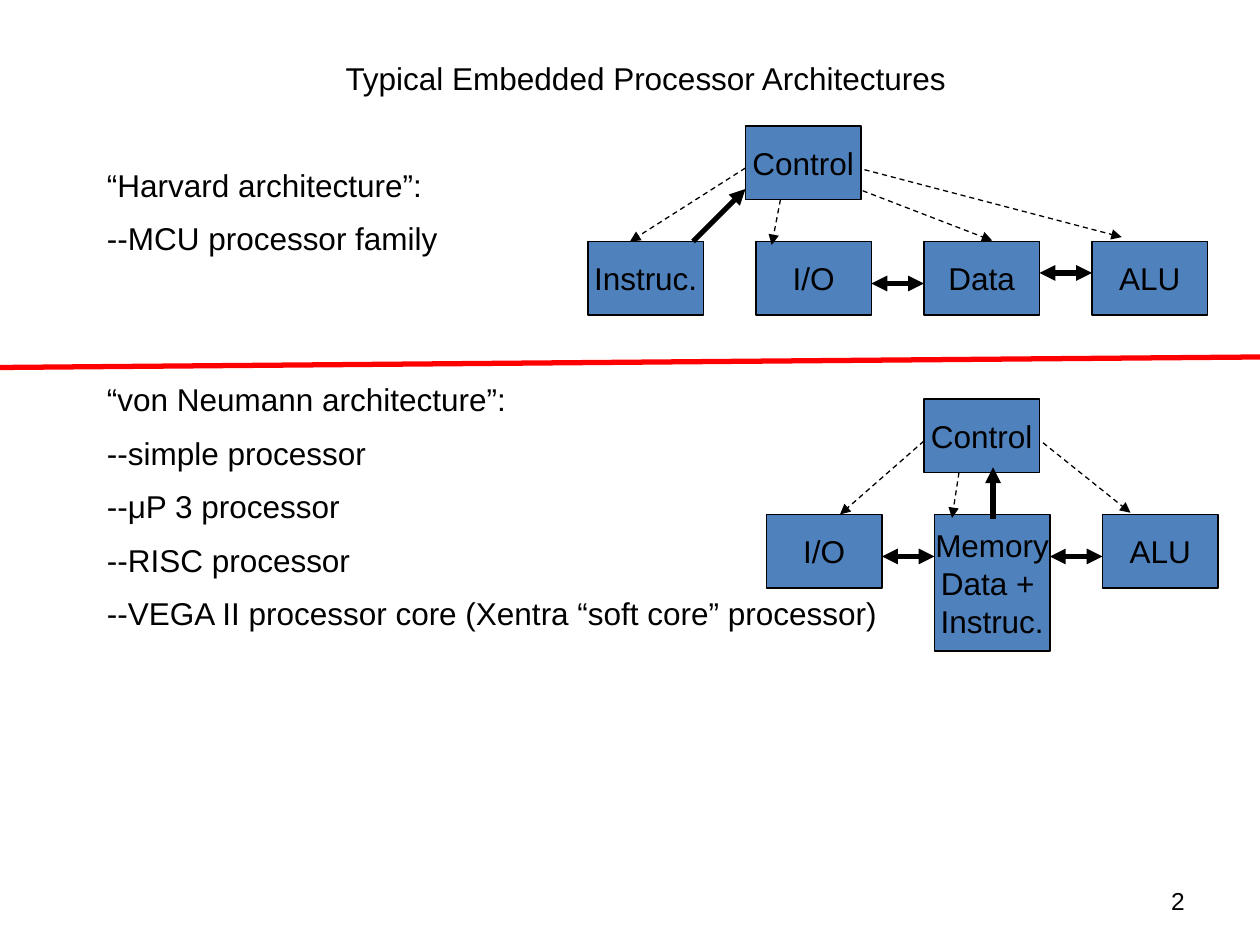
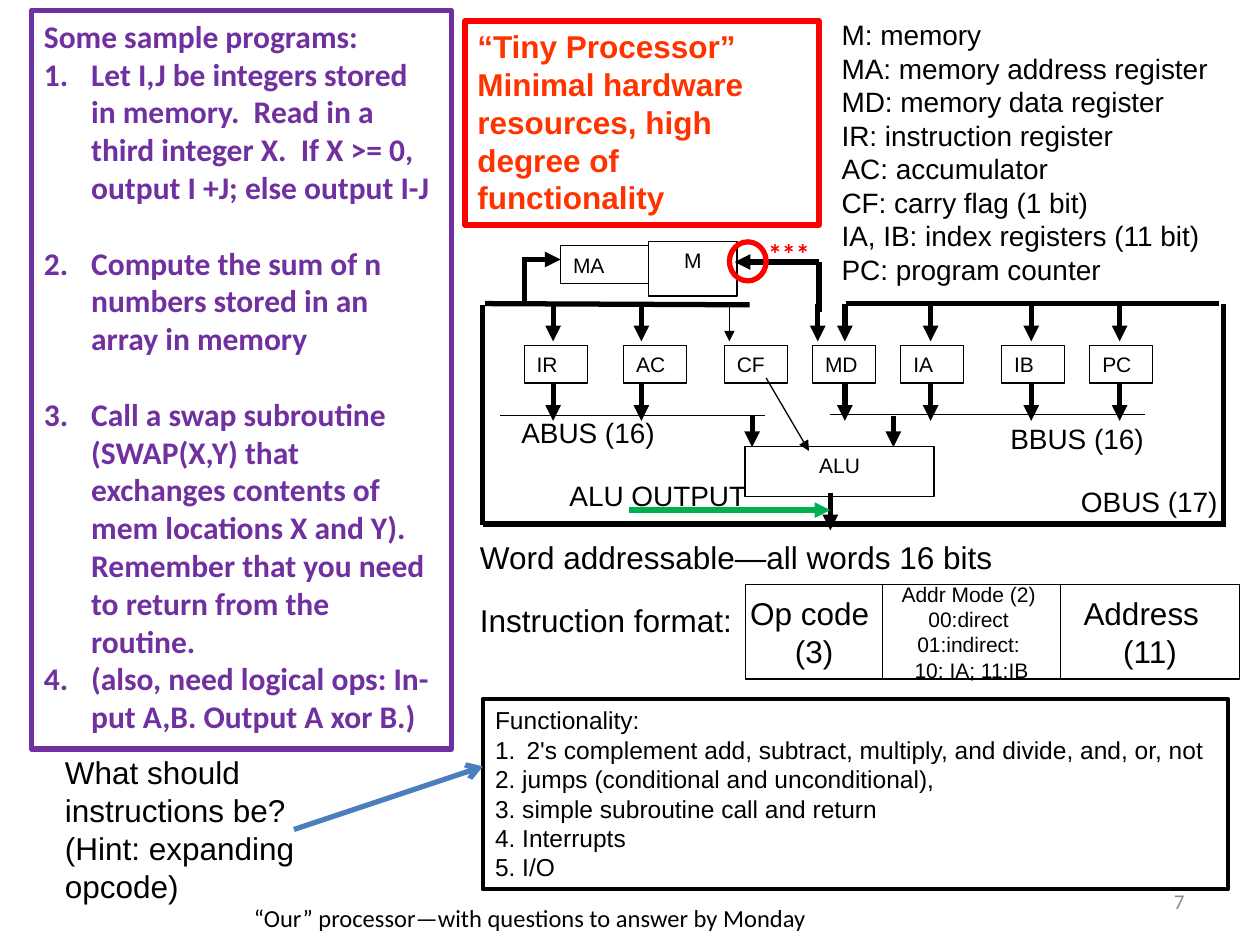
from lxml import etree
from pptx import Presentation
from pptx.dml.color import RGBColor
from pptx.enum import dml, shapes, text
from pptx.oxml.ns import qn
from pptx.util import Pt

COLORS = {
    "ink": "000000", "paper": "FFFFFF", "unit": "4F81BD", "pointer": "4B7EBC",
    "red": "FF0000", "headline": "FF3300", "purple": "7030A0",
    "green": "00B050", "page": "8C8C8C",
}
ALIGN = {"left": text.PP_ALIGN.LEFT, "center": text.PP_ALIGN.CENTER,
         "right": text.PP_ALIGN.RIGHT}
THICK, THIN = 3, 0.75


def rgb(name):
    return RGBColor.from_string(COLORS[name])


def number_paragraph(paragraph, indent):
    """Give a paragraph an automatic number with a hanging indent."""
    properties = paragraph._p.get_or_add_pPr()
    properties.set("marL", str(Pt(indent)))
    properties.set("indent", str(-Pt(indent)))
    bullet = etree.SubElement(properties, qn("a:buAutoNum"))
    bullet.set("type", "arabicPeriod")


def write(shape, lines, size=18, font="Arial", color="ink", bold=False,
          align="left", middle=False, wrap=True, gaps=None, numbered=(), indent=0):
    """Fill a shape; gaps maps line indexes to the space before them."""
    frame = shape.text_frame
    frame.word_wrap = wrap
    frame.vertical_anchor = text.MSO_ANCHOR.MIDDLE if middle else text.MSO_ANCHOR.TOP
    for index, line in enumerate(lines):
        paragraph = frame.add_paragraph() if index else frame.paragraphs[0]
        paragraph.alignment = ALIGN[align]
        paragraph.space_before = Pt((gaps or {}).get(index, 0))
        if index in numbered:
            number_paragraph(paragraph, indent)
        run = paragraph.add_run()
        run.text = line
        run.font.size, run.font.name, run.font.bold = Pt(size), font, bold
        run.font.color.rgb = rgb(color)


def add_text(slide, box, *lines, **style):
    shape = slide.shapes.add_textbox(*map(Pt, box))
    write(shape, lines, **style)
    return shape


def add_block(slide, box, *lines, fill=None, line="ink", width=THIN,
              kind=shapes.MSO_SHAPE.RECTANGLE, **style):
    shape = slide.shapes.add_shape(kind, *map(Pt, box))
    shape.shadow.inherit = False
    if fill:
        shape.fill.solid()
        shape.fill.fore_color.rgb = rgb(fill)
    else:
        shape.fill.background()
    shape.line.color.rgb = rgb(line)
    shape.line.width = Pt(width)
    write(shape, lines, **style)
    return shape


def add_line(slide, origin, points, width=THICK, color="ink", dashed=False,
             head=None, tail=None):
    """Draw a line whose points (x1, y1, x2, y2) are relative to origin."""
    left, top = origin
    x1, y1, x2, y2 = points
    connector = slide.shapes.add_connector(
        shapes.MSO_CONNECTOR.STRAIGHT,
        Pt(left + x1), Pt(top + y1), Pt(left + x2), Pt(top + y2))
    connector.line.width = Pt(width)
    connector.line.color.rgb = rgb(color)
    if dashed:
        connector.line.dash_style = dml.MSO_LINE.DASH
    outline = connector.line._get_or_add_ln()
    for tag, end in (("a:headEnd", head), ("a:tailEnd", tail)):
        if end:
            etree.SubElement(outline, qn(tag)).set("type", end)
    etree.SubElement(connector._element.spPr, qn("a:effectLst"))


def add_page_number(slide, number, **style):
    add_text(slide, (516, 500.5, 168, 28.8), number, align="right", middle=True, **style)


def add_architecture(slide, origin, units, control_lines, buses, fetch):
    """Control block above a row of units, with control, data and fetch arrows."""
    left, top = origin
    width, height, pitch, row = 66, 42, 96, 66
    style = dict(fill="unit", align="center", middle=True, wrap=False)
    add_block(slide, (left + 90, top, width, height), "Control", **style)
    for column, lines in enumerate(units):
        unit_height = height if len(lines) == 1 else 78
        add_block(slide, (left + column * pitch, top + row, width, unit_height),
                  *lines, **style)
    for points in control_lines:
        add_line(slide, origin, points, width=THIN, dashed=True, tail="triangle")
    for column, y in buses:
        start = column * pitch + width
        add_line(slide, origin, (start, y, (column + 1) * pitch, y),
                 head="triangle", tail="triangle")
    add_line(slide, origin, fetch, tail="triangle")


def build_architectures(slide):
    lines = [
        "Typical Embedded Processor Architectures",
        "“Harvard architecture”:",
        "--MCU processor family",
        "“von Neumann architecture”:",
        "--simple processor",
        "--μP 3 processor",
        "--RISC processor",
        "--VEGA II processor core (Xentra “soft core” processor)",
    ]
    gap, empty_line = 9, 30.6
    gaps = dict.fromkeys(range(1, len(lines)), gap)
    gaps[1] += empty_line
    gaps[3] += 2 * empty_line
    body = add_text(slide, (54, 30, 630, 353.5), *lines, gaps=gaps)
    body.text_frame.paragraphs[0].alignment = ALIGN["center"]

    add_architecture(
        slide, (336, 72), [["Instruc."], ["I/O"], ["Data"], ["ALU"]],
        control_lines=[(90, 24, 24, 66), (110, 42, 105, 68),
                       (157, 37, 231, 65.5), (158, 25, 305, 63.5)],
        buses=[(1, 90), (2, 84)], fetch=(60, 66, 90, 36))
    add_architecture(
        slide, (438, 228), [["I/O"], ["Memory", "Data + ", "Instruc."], ["ALU"]],
        control_lines=[(90, 24, 42, 66), (110, 42, 106, 68), (158, 25, 208, 65)],
        buses=[(0, 90), (1, 90)], fetch=(129.5, 68.5, 129.5, 39))
    add_line(slide, (0, 204), (0, 6, 720, 0), color="red")
    add_page_number(slide, "2", size=14)


def add_datapath(slide, origin):
    left, top = origin

    def at(x, y, width, height):
        return left + x, top + y, width, height

    def arrow(*points, **style):
        add_line(slide, origin, points, tail="triangle", **style)

    small = dict(fill="paper", size=12)
    add_block(slide, at(150, 81.5, 108, 28.8), "ALU", align="center", **small)
    add_block(slide, at(95, -35.3, 50.4, 31), "M", align="center", **small)
    add_block(slide, at(44.6, -33, 50.4, 21.6), "MA", **small)

    # name, left edge and arrow lane of each register
    registers = [("IR", 23.8, 40.3), ("AC", 80.6, 90.7), ("CF", 138.2, 141),
                 ("MD", 188.6, 207), ("IA", 239, 256), ("IB", 296.6, 313.5),
                 ("PC", 347, 364)]
    for name, x, lane in registers:
        add_block(slide, at(x, 23.8, 36, 21.6), name, **small)
        is_flag = name == "CF"
        arrow(lane, 0, lane, 21.6, width=THIN if is_flag else THICK)
        if not is_flag:
            arrow(lane, 45.4, lane, 67)

    bus_lines = [(152.6, 0.7, 1.4, 0), (207.4, 0, 421, 0), (423.4, 126, 423.4, 0),
                 (0, 126, 424.8, 126), (0, 126.7, 0, 0.7),
                 (23.8, -26.6, 23.8, 0), (192.2, 5, 192.2, -23.8)]
    for points in bus_lines:
        add_line(slide, origin, points)
    for points in [(10, 64, 161.3, 64), (198.7, 63.4, 378.7, 63.4)]:
        add_line(slide, origin, points, width=THIN)

    arrow(191.5, 0, 191.5, 21.6)
    arrow(23, -25.2, 44.6, -25.2)
    arrow(192.2, -23.8, 144, -23.8)
    for lane in (154, 234.7):
        arrow(lane, 64, lane, 82)
    arrow(198.7, 108, 198.7, 129.6)
    arrow(162, 42.5, 186.5, 84.2, width=THIN)
    arrow(83.5, 118, 198.7, 118, color="green")

    for label, x, y, width in [("ABUS (16)", 15, 60.5, 93), ("OBUS (17)", 334.8, 100, 104),
                               ("BBUS (16)", 294.5, 64, 92), ("ALU OUTPUT", 42.5, 96.5, 120)]:
        add_text(slide, at(x, y, width, 26.6), label, size=16)
    add_block(slide, at(141, -35.3, 21, 22.3), line="red", width=THICK,
              kind=shapes.MSO_SHAPE.OVAL)
    add_text(slide, at(156, -41.8, 48, 26.6), "***", size=16, font="Calibri",
             color="red", bold=True)


def add_instruction_format(slide, left, top):
    add_text(slide, (left, top, 372, 65.5), "Word addressable—all words 16 bits",
             "Instruction format:", gaps={1: 14.4})
    fields = [(78, 18, ["Op code ", "(3)"]),
              (102, 12, ["Addr Mode (2) ", "00:direct ", "01:indirect: ", "10: IA; 11:IB"]),
              (102, 18, ["Address  ", "(11)"])]
    x = left + 159
    for width, size, lines in fields:
        add_block(slide, (x, top + 30.2, width, 54), *lines, fill="paper", size=size,
                  align="center", middle=True, wrap=False)
        x += width


def add_notes_around_datapath(slide):
    add_text(
        slide, (473.8, 6.5, 228, 161.3), "M: memory", "MA: memory address register",
        "MD: memory data register", "IR: instruction register", "AC: accumulator",
        "CF: carry flag (1 bit)", "IA, IB: index registers (11 bit)",
        "PC: program counter", size=16)
    add_block(
        slide, (275.8, 399.5, 426, 108.8), "Functionality:",
        "2's complement add, subtract, multiply, and divide, and, or, not",
        "2. jumps (conditional and unconditional),",
        "3. simple subroutine call and return", "4. Interrupts", "5. I/O",
        width=2.25, size=14, numbered=[1], indent=18)
    add_block(
        slide, (265.7, 12, 202.3, 116.6),
        "“Tiny Processor” Minimal hardware resources, high degree of functionality",
        line="red", width=THICK, color="headline", bold=True)
    add_text(slide, (30, 427, 162, 94.3), "What should instructions be?",
             "(Hint: expanding opcode)")
    add_line(slide, (168, 438), (0, 36, 108, 0), color="pointer", tail="arrow")


def add_sample_programs(slide):
    add_block(
        slide, (18, 6, 240, 422), "Some sample programs:",
        "Let I,J be integers stored in memory.  Read in a third integer X.  "
        "If X >= 0, output I +J; else output I-J",
        "Compute the sum of n numbers stored in an array in memory",
        "Call a swap subroutine (SWAP(X,Y) that exchanges contents of mem locations "
        "X and Y).  Remember that you need to return from the routine.",
        "(also, need logical ops: In-put A,B. Output A xor B.)",
        line="purple", width=THICK, font="Calibri", color="purple", bold=True,
        gaps={2: 21.6, 3: 21.6}, numbered=range(1, 5), indent=27)


def build_tiny_processor(slide):
    add_datapath(slide, (275.8, 173.5))
    add_instruction_format(slide, 267.2, 303.9)
    add_notes_around_datapath(slide)
    add_sample_programs(slide)
    add_page_number(slide, "7", size=12, font="Calibri", color="page")
    add_text(slide, (138, 512.7, 540, 24.5),
             "“Our” processor—with questions to answer by Monday",
             size=14, font="Calibri")


def main():
    presentation = Presentation()
    presentation.slide_width, presentation.slide_height = Pt(720), Pt(540)
    for build in (build_architectures, build_tiny_processor):
        build(presentation.slides.add_slide(presentation.slide_layouts[6]))
    presentation.save("out.pptx")


if __name__ == "__main__":
    main()
